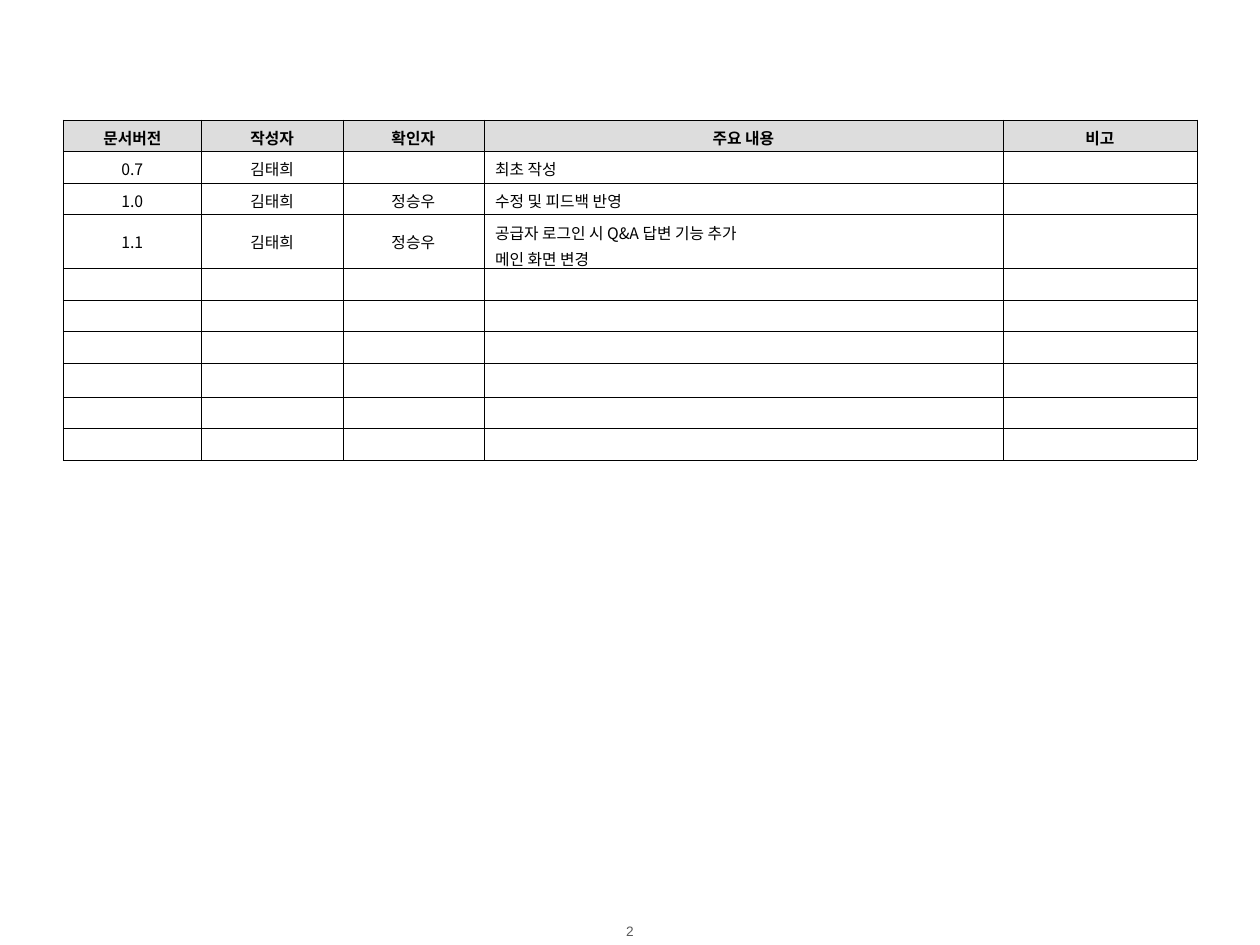
from dataclasses import dataclass

from lxml import etree
from pptx import Presentation
from pptx.dml.color import RGBColor
from pptx.enum.text import MSO_ANCHOR, PP_ALIGN
from pptx.oxml.ns import qn
from pptx.util import Inches, Pt

LEFT, CENTER = PP_ALIGN.LEFT, PP_ALIGN.CENTER
MIDDLE = MSO_ANCHOR.MIDDLE
BLANK_LAYOUT = 6


@dataclass(frozen=True)
class Theme:
    body_font: str = "Noto Sans CJK KR"
    number_font: str = "Arial"
    ink: str = "000000"
    muted: str = "595959"
    header_fill: str = "DDDDDD"
    body_size: float = 9
    number_size: float = 7.8
    border_width: float = 0.25
    space_before: int = 20  # percent of a line


HEADERS = ["문서버전", "작성자", "확인자", "주요 내용", "비고"]
REVISIONS = [
    ["0.7", "김태희", "", "최초 작성", ""],
    ["1.0", "김태희", "정승우", "수정 및 피드백 반영", ""],
    ["1.1", "김태희", "정승우", "공급자 로그인 시 Q&A 답변 기능 추가\n메인 화면 변경", ""],
]
EMPTY_ROWS = 6
COLUMN_WIDTHS = [1.1, 1.12, 1.12, 4.12, 1.54]
ROW_HEIGHT = 0.25
TALL_ROWS = {7: 0.27}
CONTENT_COLUMN = HEADERS.index("주요 내용")


def write_text(frame, text, *, font, size, color, bold=False, align=CENTER, space_before=0):
    """Fill a text frame, one paragraph per line; space_before is in percent."""
    frame.text = text
    for paragraph in frame.paragraphs:
        paragraph.alignment = align
        if space_before:
            spacing = etree.SubElement(paragraph._p.get_or_add_pPr(), qn("a:spcBef"))
            etree.SubElement(spacing, qn("a:spcPct"), val=str(space_before * 1000))
        for run in paragraph.runs:
            run.font.name = font
            run.font.size = Pt(size)
            run.font.bold = bold
            run.font.color.rgb = RGBColor.from_string(color)
            etree.SubElement(run._r.get_or_add_rPr(), qn("a:ea"), typeface=font)
        if not paragraph.runs:
            # The end mark sets the line height of an empty cell.
            etree.SubElement(paragraph._p, qn("a:endParaRPr"), sz=str(int(size * 100)))


def add_borders(cell, color, width):
    properties = cell._tc.get_or_add_tcPr()
    for position, side in enumerate(("lnL", "lnR", "lnT", "lnB")):
        line = etree.Element(qn(f"a:{side}"), w=str(int(Pt(width))))
        fill = etree.SubElement(line, qn("a:solidFill"))
        etree.SubElement(fill, qn("a:srgbClr"), val=color)
        properties.insert(position, line)


class SlideBuilder:
    def __init__(self, slide, theme):
        self.slide = slide
        self.theme = theme

    def table(self, rows, left, top, column_widths, row_heights):
        table = self.slide.shapes.add_table(
            len(rows), len(column_widths), Inches(left), Inches(top),
            Inches(sum(column_widths)), Inches(sum(row_heights))).table
        table.first_row = table.horz_banding = False
        for column, width in zip(table.columns, column_widths):
            column.width = Inches(width)
        for row, height in zip(table.rows, row_heights):
            row.height = Inches(height)
        for row_index, values in enumerate(rows):
            for column_index, value in enumerate(values):
                self.cell(table.cell(row_index, column_index), value,
                          header=row_index == 0,
                          align=LEFT if row_index and column_index == CONTENT_COLUMN else CENTER)

    def cell(self, cell, text, header, align):
        theme = self.theme
        cell.vertical_anchor = MIDDLE
        cell.margin_left = cell.margin_right = Inches(0.09)
        cell.margin_top = cell.margin_bottom = Inches(0.05)
        if header:
            cell.fill.solid()
            cell.fill.fore_color.rgb = RGBColor.from_string(theme.header_fill)
        else:
            cell.fill.background()
        add_borders(cell, theme.ink, theme.border_width)
        write_text(cell.text_frame, text, font=theme.body_font, size=theme.body_size,
                   color=theme.ink, bold=header, align=align,
                   space_before=theme.space_before)

    def page_number(self, number, left, top, width, height):
        frame = self.slide.shapes.add_textbox(
            Inches(left), Inches(top), Inches(width), Inches(height)).text_frame
        frame.word_wrap = True
        frame.vertical_anchor = MIDDLE
        frame.margin_left = frame.margin_right = frame.margin_top = frame.margin_bottom = 0
        write_text(frame, str(number), font=self.theme.number_font,
                   size=self.theme.number_size, color=self.theme.muted)


def main():
    deck = Presentation()
    deck.slide_width, deck.slide_height = Inches(10), Inches(7.5)
    slide = deck.slides.add_slide(deck.slide_layouts[BLANK_LAYOUT])
    builder = SlideBuilder(slide, Theme())

    builder.page_number(2, 4.57, 7.32, 0.86, 0.14)
    rows = [HEADERS, *REVISIONS, *([""] * len(HEADERS) for _ in range(EMPTY_ROWS))]
    row_heights = [TALL_ROWS.get(index, ROW_HEIGHT) for index in range(len(rows))]
    builder.table(rows, 0.5, 0.95, COLUMN_WIDTHS, row_heights)
    deck.save("out.pptx")


if __name__ == "__main__":
    main()
